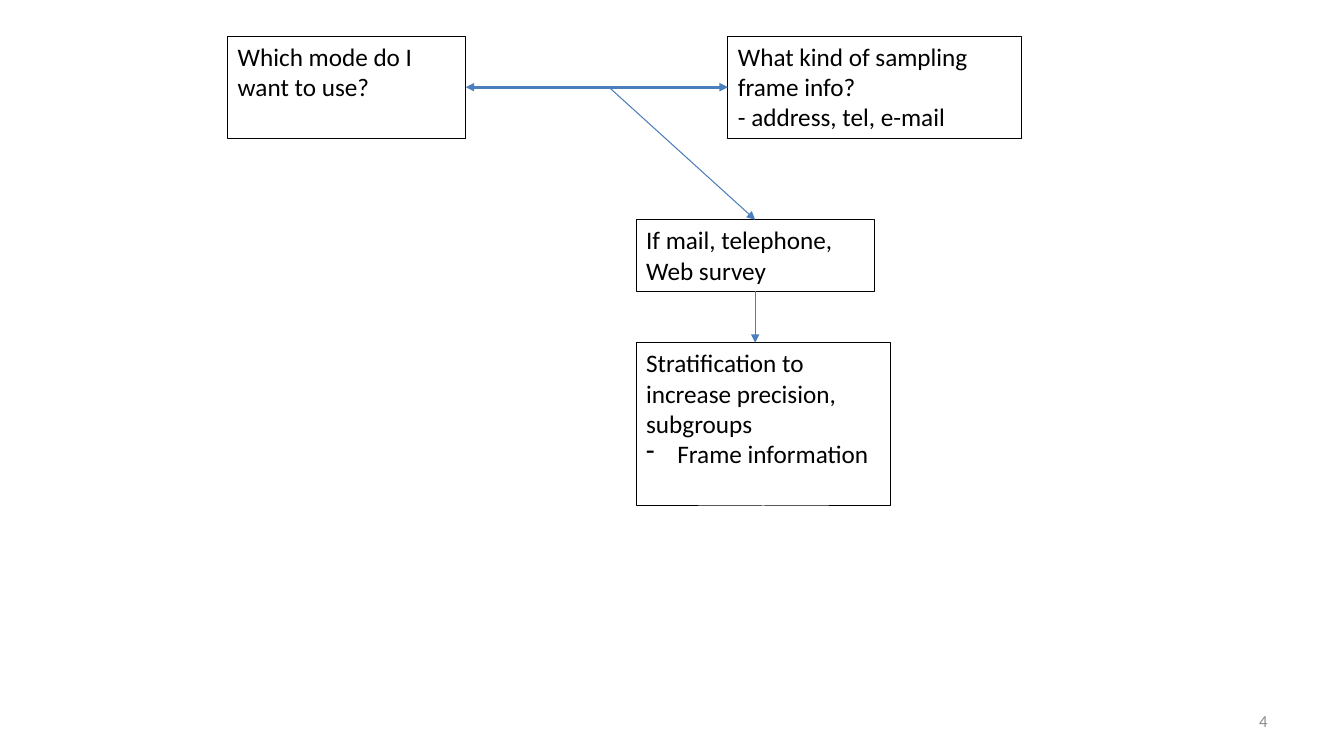
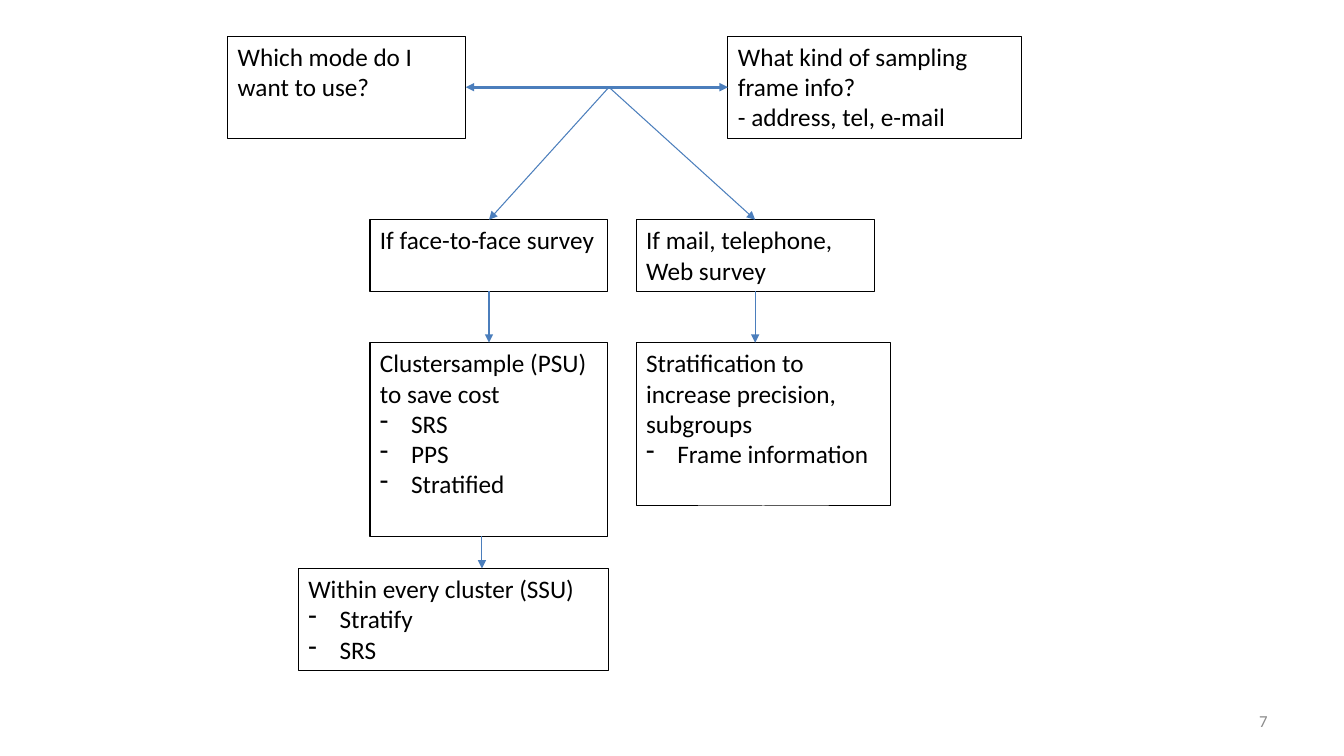
from dataclasses import dataclass

from lxml.etree import SubElement
from pptx import Presentation
from pptx.dml.color import RGBColor
from pptx.enum.shapes import MSO_CONNECTOR
from pptx.enum.text import MSO_ANCHOR, PP_ALIGN
from pptx.oxml.ns import qn
from pptx.slide import Slide
from pptx.util import Inches, Pt

FONT = "Calibri"
BLACK = RGBColor(0x00, 0x00, 0x00)
GREY = RGBColor(0x8C, 0x8C, 0x8C)
BLUE = RGBColor(0x4B, 0x7E, 0xBC)
BLANK_LAYOUT = 6
BULLET_INDENT = Inches(0.31)


@dataclass(frozen=True)
class Box:
    left: float
    top: float
    width: float
    height: float
    lines: tuple[str, ...]
    bullets: tuple[str, ...] = ()

    @property
    def center(self) -> float:
        return self.left + self.width / 2

    @property
    def right(self) -> float:
        return self.left + self.width

    @property
    def middle(self) -> float:
        return self.top + self.height / 2

    @property
    def bottom(self) -> float:
        return self.top + self.height


@dataclass(frozen=True)
class Arrow:
    start: tuple[float, float]
    end: tuple[float, float]
    weight: float = 0.75
    both_ends: bool = False


# Rows and columns of the flowchart
QUESTION_TOP, SURVEY_TOP, SAMPLE_TOP = 0.36, 2.18, 3.4
FACE_LEFT, REMOTE_LEFT = 3.67, 6.31

MODE = Box(2.26, QUESTION_TOP, 2.36, 1.01, ("Which mode do I want to use?",))
FRAME = Box(7.22, QUESTION_TOP, 2.91, 1.01,
            ("What kind of sampling frame info?", "- address, tel, e-mail"))
FACE = Box(FACE_LEFT, SURVEY_TOP, 2.36, 0.71, ("If face-to-face survey",))
REMOTE = Box(REMOTE_LEFT, SURVEY_TOP, 2.36, 0.71,
             ("If mail, telephone, Web survey",))
CLUSTER = Box(FACE_LEFT, SAMPLE_TOP, 2.36, 1.92,
              ("Clustersample (PSU) to save cost",),
              ("SRS", "PPS", "Stratified"))
STRATIFICATION = Box(REMOTE_LEFT, SAMPLE_TOP, 2.52, 1.62,
                     ("Stratification to increase precision, subgroups",),
                     ("Frame information",))
WITHIN = Box(2.96, 5.64, 3.08, 1.01, ("Within every cluster (SSU)",),
             ("Stratify", "SRS"))

FORK = (6.04, MODE.middle)
CLUSTER_EXIT = 4.78


def branch(survey: Box, sample: Box) -> tuple[Arrow, Arrow]:
    """Arrows from the fork to a survey type, and on to its sample design."""
    return (
        Arrow(FORK, (survey.center, survey.top)),
        Arrow((survey.center, survey.bottom), (survey.center, sample.top)),
    )


QUESTION_LINK = Arrow((FRAME.left, FRAME.middle), (MODE.right, MODE.middle), 2, True)
REMOTE_BOXES = (MODE, FRAME, REMOTE, STRATIFICATION)
REMOTE_ARROWS = (QUESTION_LINK, *branch(REMOTE, STRATIFICATION))
FACE_BOXES = (FACE, CLUSTER, WITHIN)
FACE_ARROWS = (
    *branch(FACE, CLUSTER),
    Arrow((CLUSTER_EXIT, CLUSTER.bottom), (CLUSTER_EXIT, WITHIN.top)),
)


def add_box(slide: Slide, box: Box) -> None:
    shape = slide.shapes.add_textbox(Inches(box.left), Inches(box.top),
                                     Inches(box.width), Inches(box.height))
    shape.line.color.rgb = BLACK
    shape.line.width = Pt(0.75)
    frame = shape.text_frame
    frame.word_wrap = True
    frame.text = "\n".join(box.lines + box.bullets)
    for index, paragraph in enumerate(frame.paragraphs):
        paragraph.font.name = FONT
        paragraph.font.size = Pt(18)
        paragraph.font.color.rgb = BLACK
        if index >= len(box.lines):
            properties = paragraph._p.get_or_add_pPr()
            properties.set("marL", str(BULLET_INDENT))
            properties.set("indent", str(-BULLET_INDENT))
            # Bullet elements come before the default run properties
            bullet = SubElement(properties, qn("a:buChar"), char="-")
            properties.insert(0, bullet)
            properties.insert(0, SubElement(properties, qn("a:buFontTx")))


def add_arrow(slide: Slide, arrow: Arrow) -> None:
    connector = slide.shapes.add_connector(
        MSO_CONNECTOR.STRAIGHT,
        *(Inches(length) for length in arrow.start + arrow.end))
    connector.line.color.rgb = BLUE
    connector.line.width = Pt(arrow.weight)
    line = connector.line._get_or_add_ln()
    if arrow.both_ends:
        SubElement(line, qn("a:headEnd"), type="triangle")
    SubElement(line, qn("a:tailEnd"), type="triangle")
    SubElement(connector._element.spPr, qn("a:effectLst"))


def add_page_number(slide: Slide, number: int) -> None:
    shape = slide.shapes.add_textbox(Inches(9.56), Inches(6.95),
                                     Inches(3.11), Inches(0.4))
    frame = shape.text_frame
    frame.word_wrap = True
    frame.vertical_anchor = MSO_ANCHOR.MIDDLE
    paragraph = frame.paragraphs[0]
    paragraph.text = str(number)
    paragraph.alignment = PP_ALIGN.RIGHT
    paragraph.font.name = FONT
    paragraph.font.size = Pt(12)
    paragraph.font.color.rgb = GREY


def add_flowchart(presentation: Presentation, number: int,
                  boxes: tuple[Box, ...], arrows: tuple[Arrow, ...]) -> None:
    slide = presentation.slides.add_slide(presentation.slide_layouts[BLANK_LAYOUT])
    add_page_number(slide, number)
    for box in boxes:
        add_box(slide, box)
    for arrow in arrows:
        add_arrow(slide, arrow)


def main() -> None:
    presentation = Presentation()
    presentation.slide_width = Inches(13.33)
    presentation.slide_height = Inches(7.5)
    # Remote surveys only, then both branches
    add_flowchart(presentation, 4, REMOTE_BOXES, REMOTE_ARROWS)
    add_flowchart(presentation, 7, REMOTE_BOXES + FACE_BOXES,
                  REMOTE_ARROWS + FACE_ARROWS)
    presentation.save("out.pptx")


if __name__ == "__main__":
    main()
